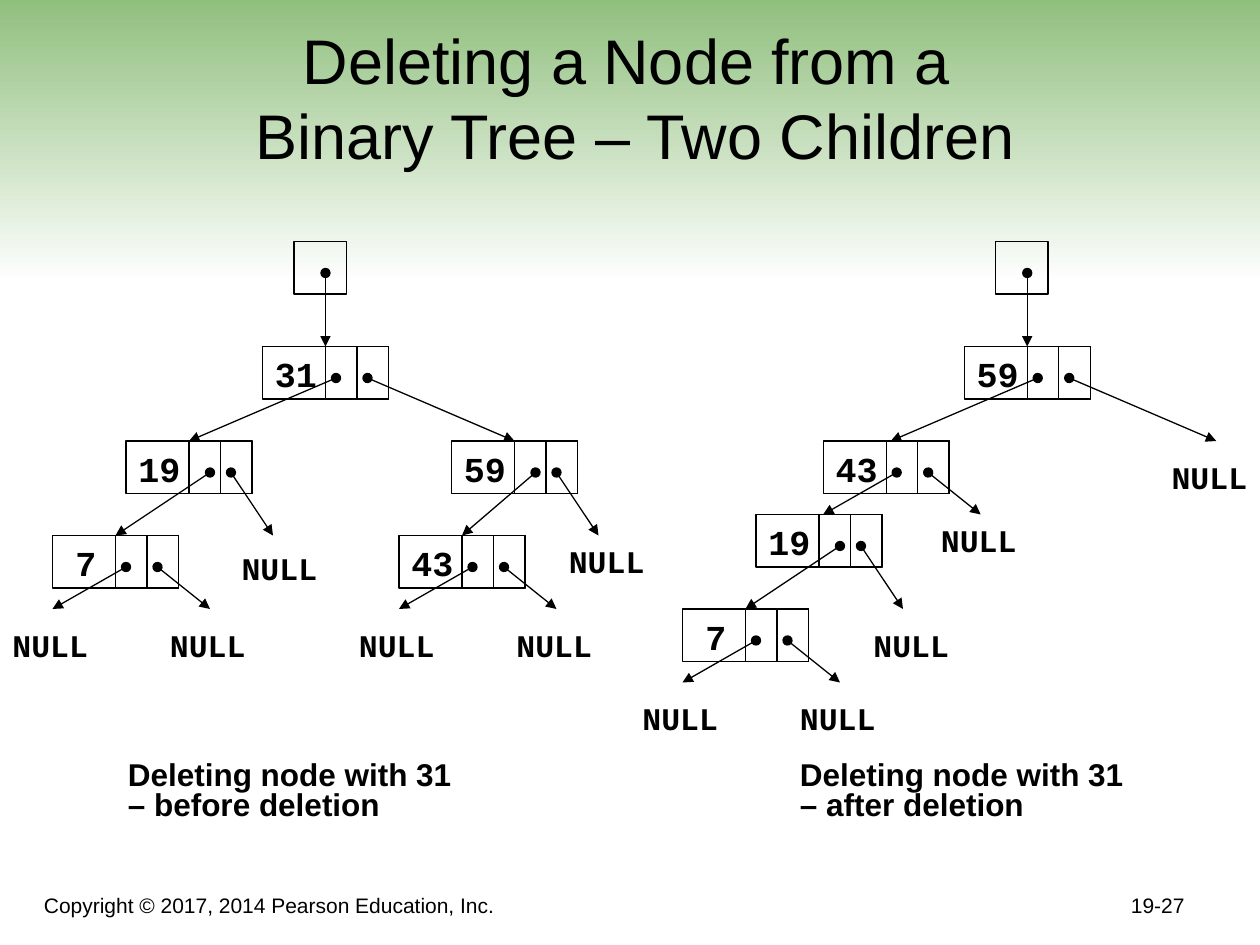
import pptx
import pptx.util
import pptx.dml.color
import pptx.enum.shapes
import pptx.enum.text
import pptx.oxml
import pptx.oxml.ns

Pt = pptx.util.Pt
Align = pptx.enum.text.PP_ALIGN
Anchor = pptx.enum.text.MSO_ANCHOR
COLORS = {"ink": "000000", "band_top": "8CBD79", "band_bottom": "FFFFFF"}

NODE_WIDTH, NODE_HEIGHT, CELL = 72, 30, 18
RIGHT_TAIL = 60
NULL_WIDTH, NULL_HEIGHT = 57.6, 28.8

# All tree positions are relative to the tree's box.
# Each node: value, left, top, offset of left arrow tail, left and right arrow tips.
BEFORE = {
    "head": (168, 0),
    "nodes": [
        ("31", 150, 60, 42, (108, 114), (294, 114)),
        ("19", 72, 114, 48, (66, 168), (156, 168)),
        ("59", 258, 114, 48, (264, 168), (342, 168)),
        ("7", 30, 168, 42, (30, 210), (120, 210)),
        ("43", 228, 168, 42, (228, 210), (318, 210)),
    ],
    "nulls": [(131, 172), (318, 168), (0, 216), (90, 216), (198, 216), (288, 216)],
}
AFTER = {
    "head": (209, 0),
    "nodes": [
        ("59", 191, 60, 42, (149, 114), (335, 114)),
        ("43", 110.4, 114, 42, (110.4, 156), (200.4, 156)),
        ("19", 72, 156, 48, (66, 210), (156, 210)),
        ("7", 30, 210, 42, (30, 252), (120, 252)),
    ],
    "nulls": [(302.4, 120), (170.6, 156), (132, 216), (0, 258), (90, 258)],
}


def color(name):
    return pptx.dml.color.RGBColor.from_string(COLORS[name])


def add_text(slide, text, left, top, width, height, size=18, font="Arial", bold=False,
             align=Align.LEFT, anchor=Anchor.TOP, wrap=True, spacing=None):
    box = slide.shapes.add_textbox(Pt(left), Pt(top), Pt(width), Pt(height))
    frame = box.text_frame
    frame.word_wrap = wrap
    frame.vertical_anchor = anchor
    paragraph = frame.paragraphs[0]
    paragraph.text = text
    paragraph.alignment = align
    if spacing:
        paragraph.line_spacing = spacing
    for run in paragraph.runs:
        run.font.name = font
        run.font.size = Pt(size)
        run.font.bold = bold
        run.font.color.rgb = color("ink")


def add_cell(slide, left, top, width, height):
    """Draw one unfilled, outlined rectangle."""
    shape = slide.shapes.add_shape(pptx.enum.shapes.MSO_SHAPE.RECTANGLE,
                                   Pt(left), Pt(top), Pt(width), Pt(height))
    shape.shadow.inherit = False
    shape.fill.background()
    shape.line.color.rgb = color("ink")
    shape.line.width = Pt(0.75)


def add_pointer(slide, start, end):
    """Draw an arrow with a dot at its start."""
    connector = slide.shapes.add_connector(pptx.enum.shapes.MSO_CONNECTOR.STRAIGHT,
                                           *(Pt(value) for value in (*start, *end)))
    connector.line.color.rgb = color("ink")
    connector.line.width = Pt(0.75)
    properties = connector._element.spPr
    line = properties.find(pptx.oxml.ns.qn("a:ln"))
    namespace = pptx.oxml.ns.nsdecls("a")
    for tag, kind in (("headEnd", "oval"), ("tailEnd", "triangle")):
        line.append(pptx.oxml.parse_xml(f'<a:{tag} {namespace} type="{kind}"/>'))
    properties.append(pptx.oxml.parse_xml(f"<a:effectLst {namespace}/>"))


def add_node(slide, left, top, value):
    add_cell(slide, left, top, NODE_WIDTH, NODE_HEIGHT)
    for column in (1, 2):
        add_cell(slide, left + NODE_WIDTH - column * CELL, top, CELL, NODE_HEIGHT)
    indent = 6 if len(value) == 1 else 0
    add_text(slide, value, left + indent, top, 14.4 + 12 * len(value), 31.5,
             size=20, font="Courier New", bold=True, wrap=False)


def add_tree(slide, left, top, tree, caption, caption_left):
    head_left, head_top = left + tree["head"][0], top + tree["head"][1]
    add_cell(slide, head_left, head_top, NODE_HEIGHT, NODE_HEIGHT)
    add_pointer(slide, (head_left + 18, head_top + 18), (head_left + 18, head_top + 60))
    for value, x, y, left_tail, left_tip, right_tip in tree["nodes"]:
        add_node(slide, left + x, top + y, value)
        for tail, (tip_x, tip_y) in ((left_tail, left_tip), (RIGHT_TAIL, right_tip)):
            add_pointer(slide, (left + x + tail, top + y + 18), (left + tip_x, top + tip_y))
    for x, y in tree["nulls"]:
        add_text(slide, "NULL", left + x, top + y, NULL_WIDTH, NULL_HEIGHT,
                 font="Courier New", bold=True, wrap=False)
    add_text(slide, caption, left + caption_left, top + 294, 199.5, 42,
             bold=True, spacing=0.8)


def add_band(slide, left, top, width, height):
    """Draw the gradient behind the title."""
    band = slide.shapes.add_shape(pptx.enum.shapes.MSO_SHAPE.RECTANGLE,
                                  Pt(left), Pt(top), Pt(width), Pt(height))
    band.shadow.inherit = False
    band.line.fill.background()
    band.fill.gradient()
    band.fill.gradient_angle = 270
    for stop, position, name in zip(band.fill.gradient_stops, (0, 1),
                                    ("band_top", "band_bottom")):
        stop.position = position
        stop.color.rgb = color(name)


def add_footer(slide, left, top, width, height):
    add_text(slide, "Copyright © 2017, 2014 Pearson Education, Inc.",
             left, top, 486, height, size=12, anchor=Anchor.BOTTOM)
    add_text(slide, "19-27", left + width - 150, top, 150, height,
             size=12, align=Align.RIGHT, anchor=Anchor.BOTTOM)


def main():
    presentation = pptx.Presentation()
    presentation.slide_width, presentation.slide_height = Pt(720), Pt(540)
    slide = presentation.slides.add_slide(presentation.slide_layouts[6])
    add_band(slide, 0, -6, 720, 168)
    add_text(slide, "Deleting a Node from a \vBinary Tree – Two Children",
             24, 24, 678, 78, size=36, align=Align.CENTER, anchor=Anchor.BOTTOM)
    add_tree(slide, 0, 138, BEFORE, "Deleting node with 31 – before deletion", 66)
    add_tree(slide, 360, 138, AFTER, "Deleting node with 31 – after deletion", 90)
    add_footer(slide, 18, 498, 666, 30)
    presentation.save("out.pptx")


if __name__ == "__main__":
    main()
